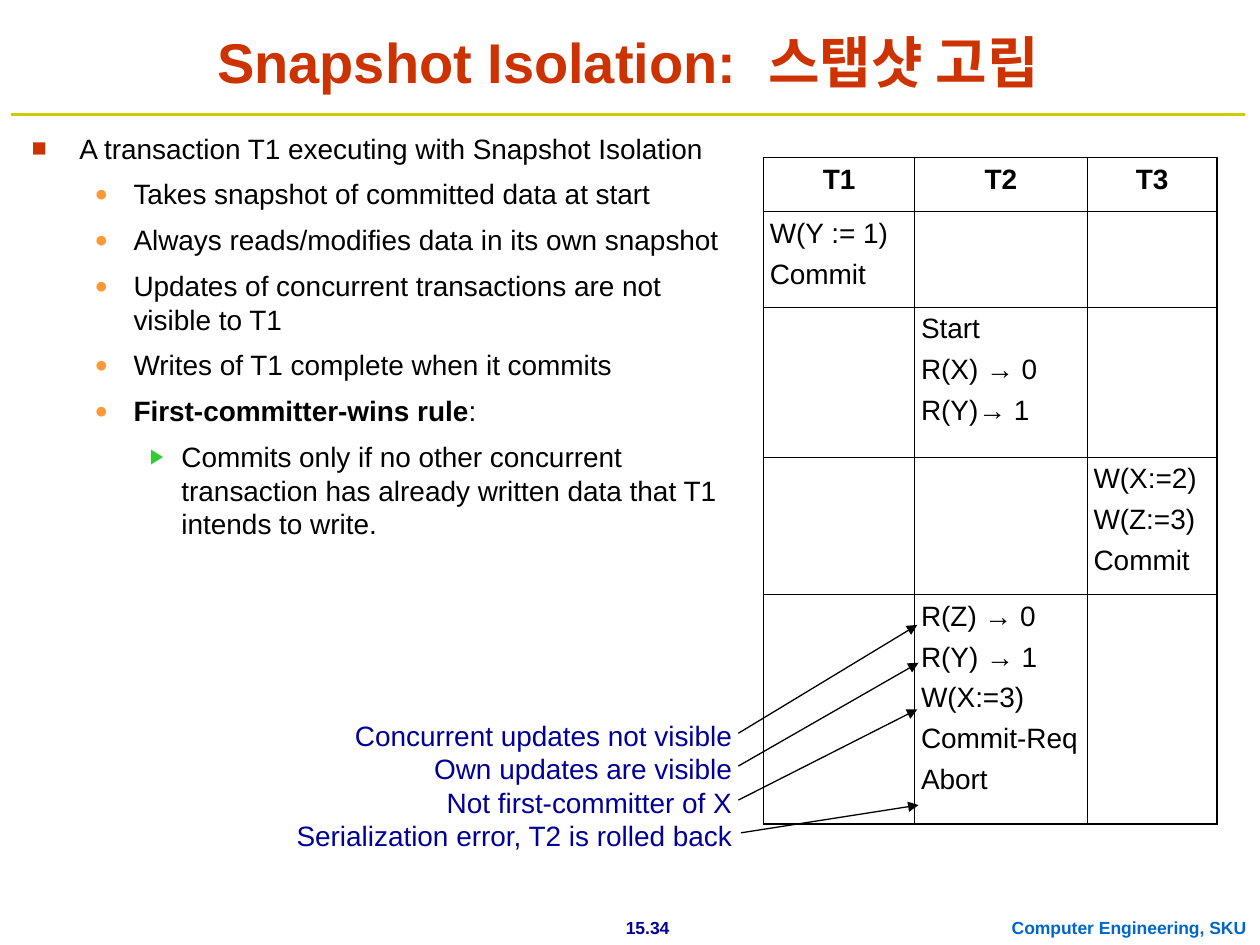
from lxml import etree
from pptx import Presentation
from pptx.dml.color import RGBColor
from pptx.enum.shapes import MSO_CONNECTOR
from pptx.enum.text import MSO_ANCHOR, MSO_AUTO_SIZE, PP_ALIGN
from pptx.oxml.ns import qn
from pptx.util import Inches, Pt

LEFT, CENTER, RIGHT = PP_ALIGN.LEFT, PP_ALIGN.CENTER, PP_ALIGN.RIGHT
STRAIGHT = MSO_CONNECTOR.STRAIGHT
FONT = "Arial"
COLORS = {
    "title": "CC3300", "text": "000000", "note": "000099", "rule": "CCCC00",
    "footer": "0066CC", "square": "CC3300", "dot": "FF9933", "triangle": "33CC33",
}

# Content
TITLE = "Snapshot Isolation:  스탭샷 고립"
BODY = [  # level, runs as (text, bold)
    (0, [("A transaction T1 executing with Snapshot Isolation", False)]),
    (1, [("Takes snapshot of committed data at start", False)]),
    (1, [("Always reads/modifies data in its own snapshot", False)]),
    (1, [("Updates of concurrent transactions are not visible to T1", False)]),
    (1, [("Writes of T1 complete when it commits", False)]),
    (1, [("First-committer-wins rule", True), (":", False)]),
    (2, [("Commits only if no other concurrent transaction has already "
          "written data that T1 intends to write.", False)]),
]
LEVELS = [  # bullet, colour, size %, left margin, hanging indent
    ("■", "square", 90, 0.38, 0.38),
    ("●", "dot", 80, 0.81, 0.31),
    ("▶", "triangle", 75, 1.19, 0.25),
]
SCHEDULE = [  # each cell is a list of steps
    [["T1"], ["T2"], ["T3"]],
    [["W(Y := 1)", "Commit"], [], []],
    [[], ["Start", "R(X) → 0", "R(Y)→ 1"], []],
    [[], [], ["W(X:=2)", "W(Z:=3)", "Commit"]],
    [[], ["R(Z) → 0", "R(Y) → 1", "W(X:=3)", "Commit-Req", "Abort"], []],
]
COL_WIDTHS = [1.2, 1.37, 1.03]
ROW_HEIGHTS = [0.43, 0.76, 1.19, 1.09, 1.82]
NOTES = [  # text, arrow start, arrow end
    ("Concurrent updates not visible", (5.86, 5.82), (7.28, 4.96)),
    ("Own updates are visible", (5.86, 6.08), (7.29, 5.26)),
    ("Not first-committer of X", (5.86, 6.35), (7.28, 5.63)),
    ("Serialization error, T2 is rolled back", (5.88, 6.61), (7.29, 6.39)),
]
FOOTERS = [  # text, colour, left, width
    ("15.34", "note", 4.61, 1.06),
    ("Computer Engineering, SKU", "footer", 7.93, 2.06),
]


def rgb(name):
    return RGBColor.from_string(COLORS[name])


def add_run(p, text, size=16, color="text", bold=False):
    r = p.add_run()
    r.text = text
    r.font.name, r.font.size, r.font.bold = FONT, Pt(size), bold
    r.font.color.rgb = rgb(color)


def write(tf, lines, align=LEFT, before=0, **fmt):
    for i, line in enumerate(lines):
        p = tf.paragraphs[0] if i == 0 else tf.add_paragraph()
        p.alignment, p.space_before = align, Pt(before)
        add_run(p, line, **fmt)


def place(sp, left, top, width, height):
    sp.left, sp.top = Inches(left), Inches(top)
    sp.width, sp.height = Inches(width), Inches(height)


def add_label(s, box, lines, **fmt):
    tf = s.shapes.add_textbox(*map(Inches, box)).text_frame
    tf.word_wrap = False
    tf.auto_size = MSO_AUTO_SIZE.SHAPE_TO_FIT_TEXT
    write(tf, lines, **fmt)


def add_line(s, start, end, color, width, arrow=False):
    c = s.shapes.add_connector(STRAIGHT, *map(Inches, start + end))
    c.line.color.rgb, c.line.width = rgb(color), Pt(width)
    if arrow:
        etree.SubElement(c.line._get_or_add_ln(), qn("a:tailEnd"), type="triangle")
    etree.SubElement(c._element.spPr, qn("a:effectLst"))


def set_bullet(p, level):
    char, color, size, margin, hang = LEVELS[level]
    pPr = p._p.get_or_add_pPr()
    pPr.set("marL", str(Inches(margin)))
    pPr.set("indent", str(-Inches(hang)))
    clr = etree.SubElement(pPr, qn("a:buClr"))
    etree.SubElement(clr, qn("a:srgbClr"), val=COLORS[color])
    etree.SubElement(pPr, qn("a:buSzPct"), val=str(size * 1000))
    etree.SubElement(pPr, qn("a:buFont"), typeface=FONT)
    etree.SubElement(pPr, qn("a:buChar"), char=char)


def set_borders(cell, outer):
    tcPr = cell._tc.get_or_add_tcPr()
    for side in "LRTB":
        width = Pt(1.08 if side in outer else 0.45)
        ln = etree.SubElement(tcPr, qn("a:ln" + side), w=str(width))
        fill = etree.SubElement(ln, qn("a:solidFill"))
        etree.SubElement(fill, qn("a:srgbClr"), val=COLORS["text"])


prs = Presentation()
prs.slide_width, prs.slide_height = Inches(10), Inches(7.5)
s = prs.slides.add_slide(prs.slide_layouts[1])

# Footer and title rule
for text, color, left, width in FOOTERS:
    add_label(s, (left, 7.23, width, 0.27), [text], align=CENTER,
              size=10, color=color, bold=True)
add_line(s, (0.09, 0.91), (9.88, 0.91), "rule", 2)

# Title
title = s.shapes.title
place(title, 0.12, 0.13, 9.73, 0.67)
title.text_frame.vertical_anchor = MSO_ANCHOR.BOTTOM
title.text_frame.auto_size = MSO_AUTO_SIZE.NONE
write(title.text_frame, [TITLE], align=CENTER, size=32, color="title", bold=True)

# Bulleted list
body = s.placeholders[1]
place(body, 0.15, 0.99, 5.71, 6)
tf = body.text_frame
tf.auto_size = MSO_AUTO_SIZE.NONE
for i, (level, runs) in enumerate(BODY):
    p = tf.paragraphs[0] if i == 0 else tf.add_paragraph()
    p.level, p.space_before = level, Pt(7)
    set_bullet(p, level)
    for text, bold in runs:
        add_run(p, text, bold=bold)

# Transaction schedule
n_rows, n_cols = len(ROW_HEIGHTS), len(COL_WIDTHS)
table = s.shapes.add_table(
    n_rows, n_cols, Inches(6.06), Inches(1.25),
    Inches(sum(COL_WIDTHS)), Inches(sum(ROW_HEIGHTS))).table
table.first_row = table.horz_banding = False
for col, width in zip(table.columns, COL_WIDTHS):
    col.width = Inches(width)
for i, (row, height) in enumerate(zip(table.rows, ROW_HEIGHTS)):
    row.height = Inches(height)
    for j, cell in enumerate(row.cells):
        edges = {"T": i == 0, "B": i == n_rows - 1, "L": j == 0, "R": j == n_cols - 1}
        set_borders(cell, [side for side, is_outer in edges.items() if is_outer])
        cell.fill.background()
        cell.margin_left = cell.margin_right = Inches(0.05)
        cell.margin_top = cell.margin_bottom = Inches(0.05)
        write(cell.text_frame, SCHEDULE[i][j], align=CENTER if i == 0 else LEFT,
              before=5.6, bold=i == 0)

# Notes with arrows to the steps of T2
add_label(s, (2.24, 5.65, 3.67, 1.17), [text for text, _, _ in NOTES],
          align=RIGHT, color="note")
for _, start, end in NOTES:
    add_line(s, start, end, "text", 0.75, arrow=True)

prs.save("out.pptx")
